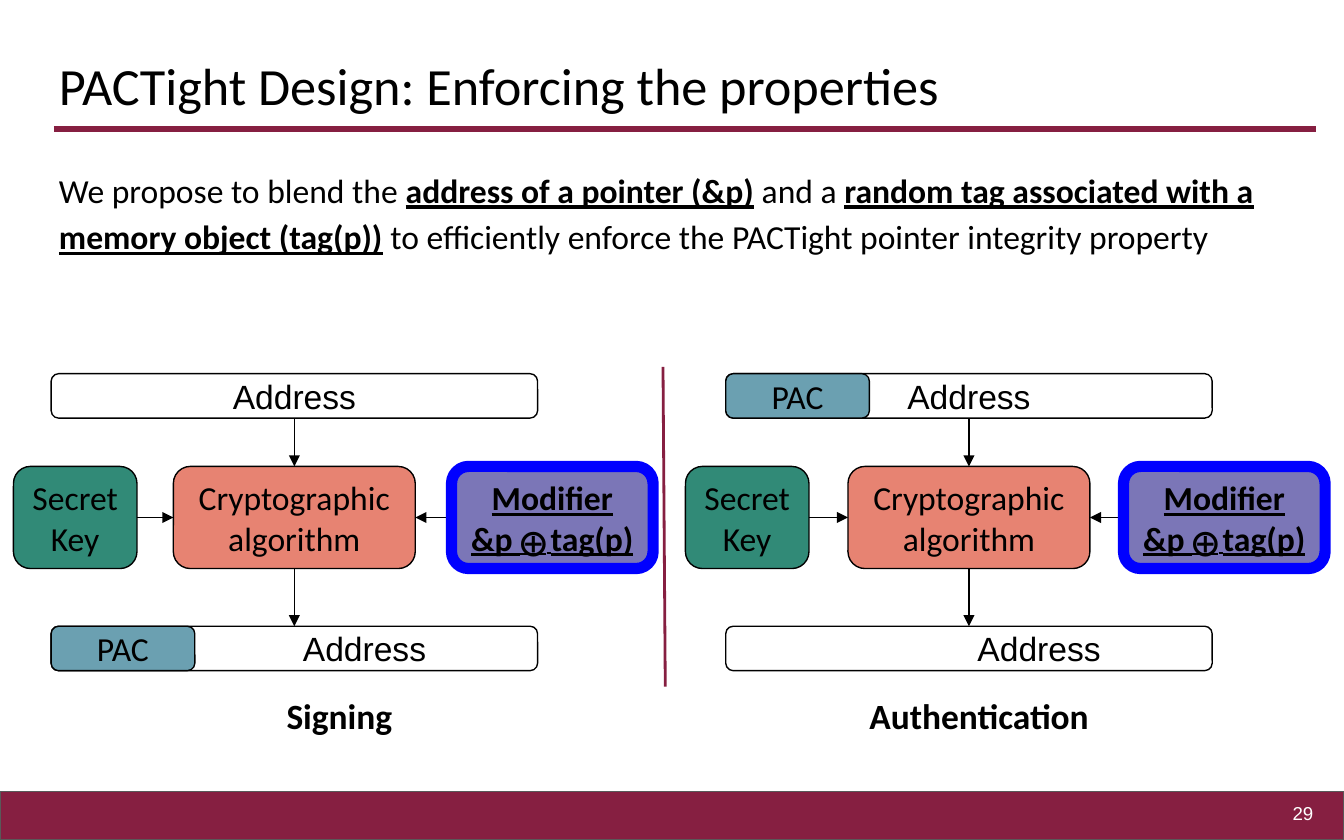
from lxml.etree import SubElement
from pptx import Presentation
from pptx.dml.color import RGBColor
from pptx.enum.shapes import MSO_CONNECTOR, MSO_SHAPE
from pptx.enum.text import MSO_ANCHOR, PP_ALIGN
from pptx.oxml.ns import qn
from pptx.util import Pt

MAROON = RGBColor(0x86, 0x1F, 0x41)
GREY = RGBColor(0x59, 0x59, 0x59)
BLACK = RGBColor(0, 0, 0)
WHITE = RGBColor(255, 255, 255)
CORAL = RGBColor(0xE7, 0x83, 0x72)
GREEN = RGBColor(0x02, 0x6F, 0x58)
PURPLE = RGBColor(0x70, 0x6B, 0xB1)
STEEL = RGBColor(0x6B, 0xA0, 0xB1)
BLUE = RGBColor(0, 0, 255)

INSET = 7.2
BAR_W, BAR_H, PAC_W = 260.6, 23.8, 77
BLOCK_H, KEY_W, ALGORITHM_W, MODIFIER_W = 54.7, 66.2, 129.6, 108


def add_run(p, text, size=18, font="Calibri", color=BLACK, strong=False, bold=False):
    """Add a run; strong means bold and underlined."""
    r = p.add_run()
    r.text = text
    r.font.size = Pt(size)
    r.font.name = font
    r.font.color.rgb = color
    r.font.bold = strong or bold
    r.font.underline = strong


def set_frame(tf, anchor, left_inset=INSET):
    tf.word_wrap = True
    tf.vertical_anchor = anchor
    tf.margin_left = Pt(left_inset)
    tf.margin_right = tf.margin_top = tf.margin_bottom = Pt(INSET)


def add_text(slide, x, y, w, h, anchor=MSO_ANCHOR.TOP, align=PP_ALIGN.LEFT):
    """Add an empty text box and return its first paragraph."""
    tf = slide.shapes.add_textbox(Pt(x), Pt(y), Pt(w), Pt(h)).text_frame
    set_frame(tf, anchor)
    p = tf.paragraphs[0]
    p.alignment = align
    return p


def add_box(slide, x, y, w, h, fill, text="", font="Calibri", opacity=100,
            line=BLACK, line_width=0.75, left_inset=INSET,
            shape=MSO_SHAPE.ROUNDED_RECTANGLE):
    sp = slide.shapes.add_shape(shape, Pt(x), Pt(y), Pt(w), Pt(h))
    sp.shadow.inherit = False
    sp.fill.solid()
    sp.fill.fore_color.rgb = fill
    if opacity < 100:
        color = sp.fill._xPr.find(qn("a:solidFill"))[0]
        SubElement(color, qn("a:alpha")).set("val", str(opacity * 1000))
    sp.line.color.rgb = line
    sp.line.width = Pt(line_width)
    set_frame(sp.text_frame, MSO_ANCHOR.MIDDLE, left_inset)
    p = sp.text_frame.paragraphs[0]
    p.alignment = PP_ALIGN.CENTER
    if text:
        add_run(p, text, font=font)
    return sp


def add_line(slide, x1, y1, x2, y2, color=BLACK, width=0.75, arrow=False):
    cx = slide.shapes.add_connector(MSO_CONNECTOR.STRAIGHT,
                                    Pt(x1), Pt(y1), Pt(x2), Pt(y2))
    cx.line.color.rgb = color
    cx.line.width = Pt(width)
    if arrow:
        SubElement(cx.line._get_or_add_ln(), qn("a:tailEnd")).set("type", "triangle")
    SubElement(cx._element.spPr, qn("a:effectLst"))


def add_frame(slide, w, h):
    """Title, rule, footer band and page number."""
    add_box(slide, 0, h - 25.9, w, 25.9, MAROON, line=GREY, shape=MSO_SHAPE.RECTANGLE)
    add_line(slide, 28.8, 69.1, w - 15.1, 69.1, MAROON, 3)
    p = add_text(slide, 24.5, 18.7, 671, 50.4, MSO_ANCHOR.BOTTOM)
    add_run(p, "PACTight Design: Enforcing the properties", 28)
    p = add_text(slide, w - 52.6, h - 31.7, 43.2, 34.6, MSO_ANCHOR.MIDDLE, PP_ALIGN.RIGHT)
    add_run(p, "29", 10, "Arial", WHITE)


def add_proposal(slide, x, y, w, h):
    p = add_text(slide, x, y, w, h)
    p.line_spacing = 1.15
    p.space_after = Pt(12)
    for text, strong in [
        ("We propose to blend the ", False),
        ("address of a pointer (&p)", True),
        (" and a ", False),
        ("random tag associated with a memory object (tag(p))", True),
        (" to efficiently enforce the PACTight pointer integrity property", False),
    ]:
        add_run(p, text, strong=strong)


def add_modifier(slide, x, y):
    sp = add_box(slide, x, y, MODIFIER_W, BLOCK_H, PURPLE, opacity=92,
                 line=BLUE, line_width=6)
    add_run(sp.text_frame.paragraphs[0], "Modifier", strong=True)
    p = sp.text_frame.add_paragraph()
    p.alignment = PP_ALIGN.CENTER
    for text, size in [("&p ", 18), ("⨁", 14), (" ", 10), ("tag(p)", 18)]:
        add_run(p, text, size, strong=True)


def add_panel(slide, x, y, w, h, axis, caption, caption_x, pac_on_top):
    """Draw one flow; axis is the x of its vertical centre line."""
    block_y, bottom_y = y + 49.7, y + h - BAR_H
    mid_y = block_y + BLOCK_H / 2
    bar_x = axis - BAR_W / 2
    algorithm_x = axis - ALGORITHM_W / 2
    modifier_x = x + w - MODIFIER_W

    add_box(slide, bar_x, y, BAR_W, BAR_H, WHITE, "Address", "Arial")
    add_box(slide, bar_x, bottom_y, BAR_W, BAR_H, WHITE, "Address", "Arial",
            left_inset=INSET + 75)
    add_box(slide, bar_x, y if pac_on_top else bottom_y, PAC_W, BAR_H, STEEL, "PAC")
    add_box(slide, x, block_y, KEY_W, BLOCK_H, GREEN, "Secret Key", opacity=81)
    add_box(slide, algorithm_x, block_y, ALGORITHM_W, BLOCK_H, CORAL,
            "Cryptographic algorithm")

    for ends in [
        (x + KEY_W, mid_y, algorithm_x, mid_y),
        (modifier_x, mid_y, algorithm_x + ALGORITHM_W, mid_y),
        (axis, y + BAR_H, axis, block_y),
        (axis, block_y + BLOCK_H, axis, bottom_y),
    ]:
        add_line(slide, *ends, arrow=True)
    add_modifier(slide, modifier_x, block_y)

    p = add_text(slide, caption_x, y + h + 5.2, 234, 37.4, align=PP_ALIGN.CENTER)
    add_run(p, caption, 19, bold=True)


def main():
    prs = Presentation()
    prs.slide_width, prs.slide_height = Pt(720), Pt(450)
    slide = prs.slides.add_slide(prs.slide_layouts[6])
    add_frame(slide, 720, 450)
    add_proposal(slide, 24.5, 80.6, 671, 80.6)
    add_line(slide, 355.2, 196.6, 356.4, 367.9, MAROON, 1.5)
    add_panel(slide, 7.2, 200.2, 342.7, 159.1, 157.7, "Signing", 64.8, False)
    add_panel(slide, 367.2, 200.2, 342.7, 159.1, 519.1, "Authentication", 407.5, True)
    prs.save("out.pptx")


if __name__ == "__main__":
    main()
